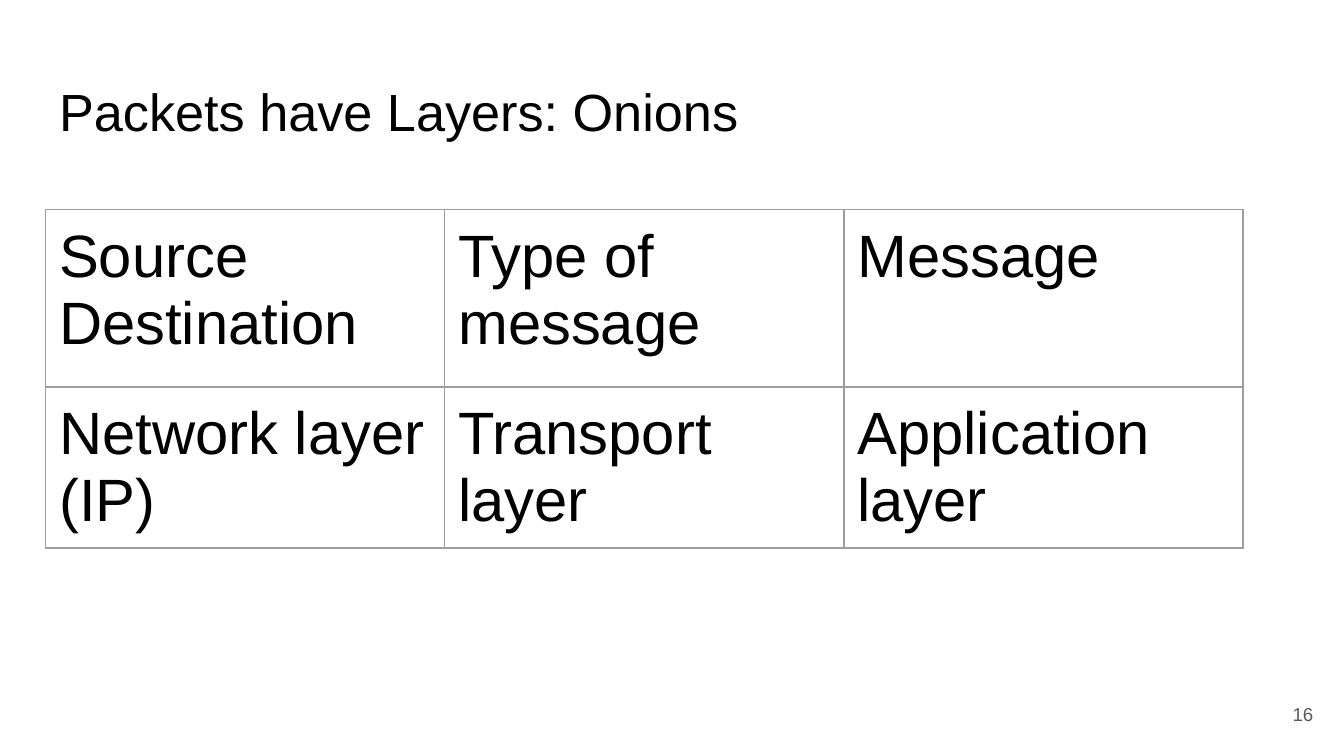
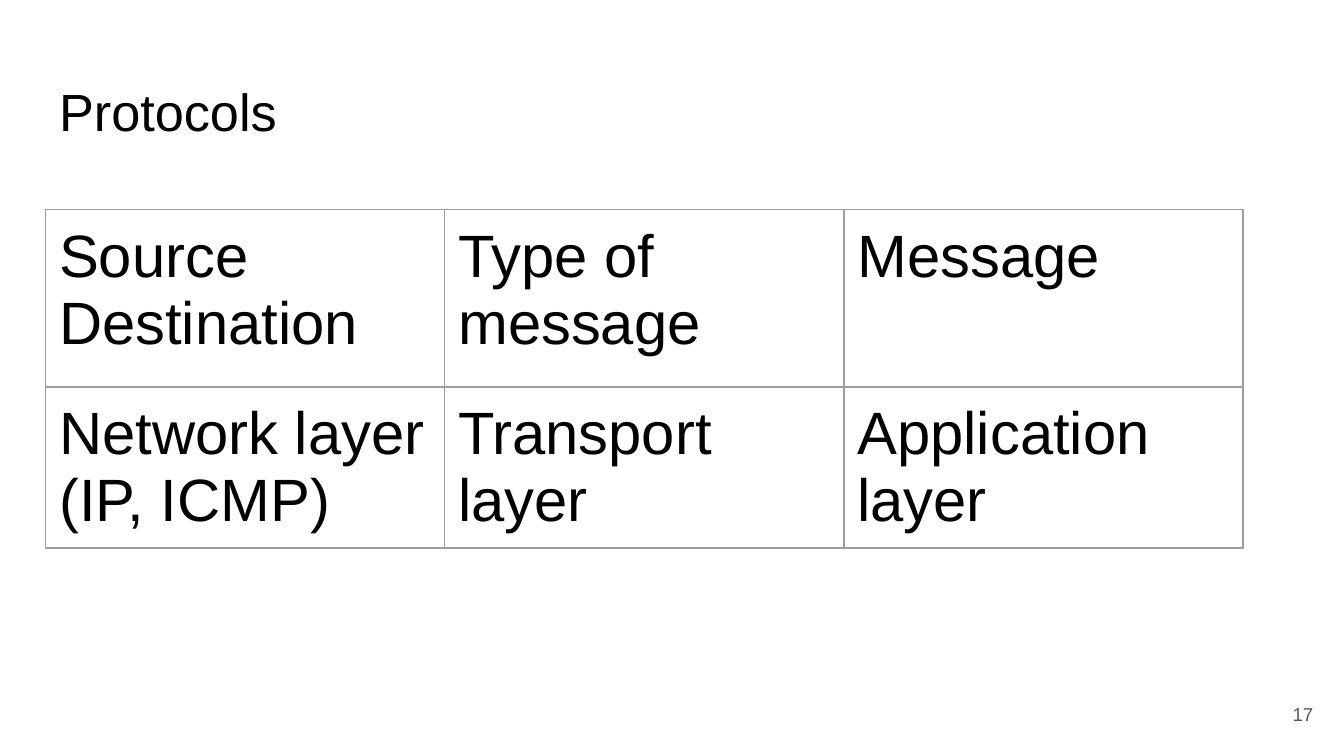
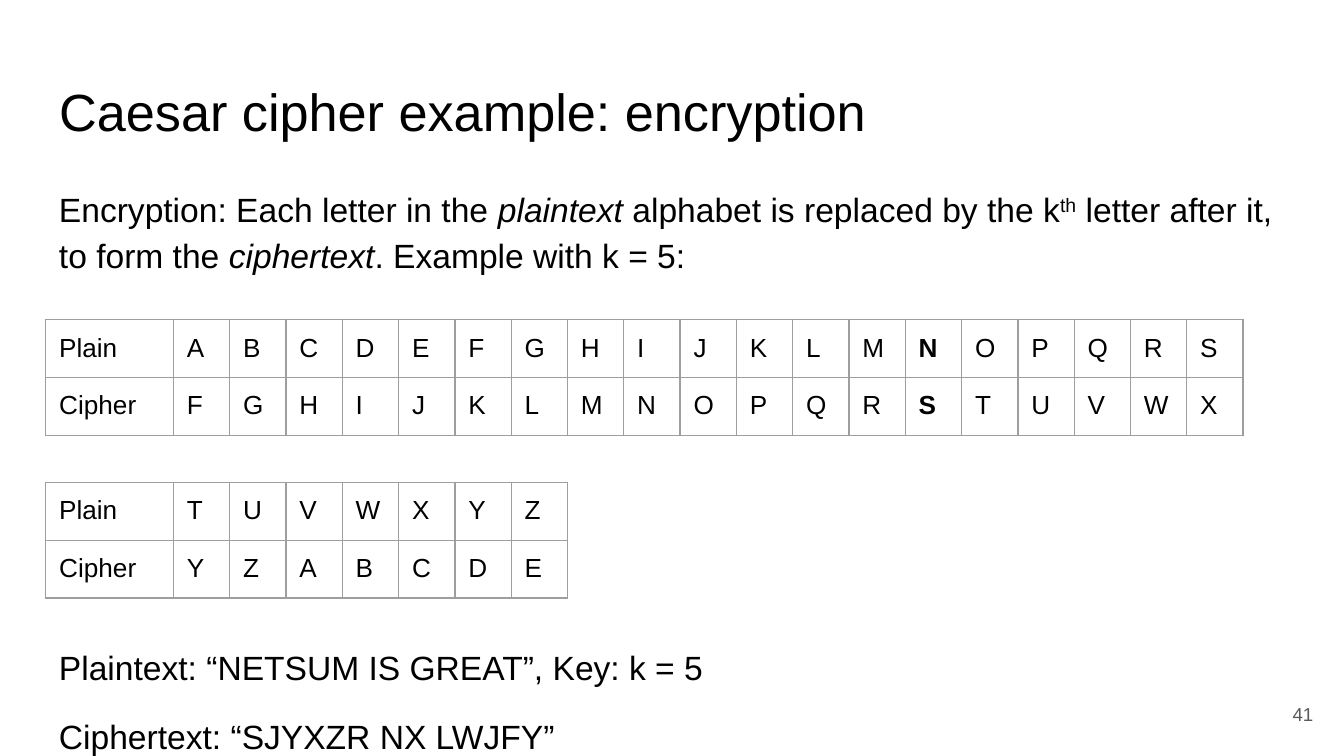
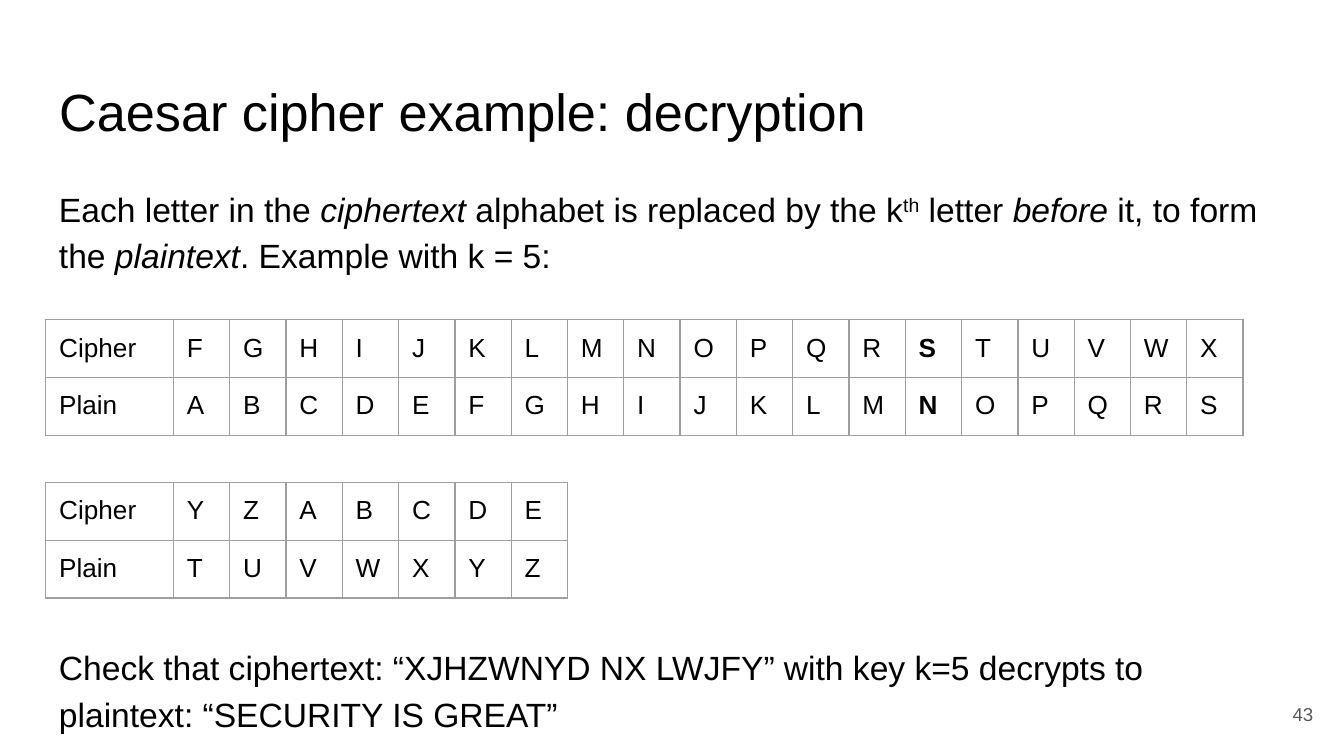
from dataclasses import dataclass

from pptx import Presentation
from pptx import util as u
from pptx.dml.color import RGBColor
from pptx.enum import text
from pptx.oxml import parse_xml
from pptx.oxml.ns import nsdecls


@dataclass(frozen=True)
class Theme:
    font: str = "Arial"
    ink: str = "000000"
    muted: str = "595959"
    border: str = "9E9E9E"
    border_pt: float = 0.75
    title: int = 28
    layer: int = 32
    body: int = 18
    letter: int = 14
    number: int = 10


THEME = Theme()

# Geometry, at 100 px to the inch
PX = 9144
LEFT = 34
INSET = 10
TABLE_W = 891
LABEL_W = 95
LETTER_ROW_H = 43

# Caesar cipher
ALPHABET = "ABCDEFGHIJKLMNOPQRSTUVWXYZ"
KEY = 5
SPLIT = 19
MARKED = ("Plain", "N"), ("Cipher", "S")
LETTER_W = (TABLE_W - LABEL_W) / SPLIT

ITALIC = {"italic": True}
TABLES_GAP = 196  # points left free for the tables inside the body text


def px(n):
    return u.Emu(round(n * PX))


# Text
def set_frame(tf, anchor=text.MSO_ANCHOR.TOP):
    inset = px(INSET)
    values = {"word_wrap": True, "auto_size": text.MSO_AUTO_SIZE.NONE,
              "vertical_anchor": anchor, "margin_left": inset,
              "margin_right": inset, "margin_top": inset,
              "margin_bottom": inset}
    for name, value in values.items():
        setattr(tf, name, value)


def add_run(p, words, size, color=THEME.ink, superscript=False, **font):
    r = p.add_run()
    r.text = words
    values = {"name": THEME.font, "size": u.Pt(size), **font}
    for name, value in values.items():
        setattr(r.font, name, value)
    r.font.color.rgb = RGBColor.from_string(color)
    if superscript:
        r._r.get_or_add_rPr().set("baseline", "30000")


def write(tf, paragraphs, size, color=THEME.ink, font=None, **layout):
    """Each paragraph is a list of (words, font values) or a plain string."""
    for i, runs in enumerate(paragraphs):
        p = tf.add_paragraph() if i else tf.paragraphs[0]
        for name, value in layout.items():
            setattr(p, name, value)
        if isinstance(runs, str):
            runs = [(runs, font or {})]
        for words, values in runs:
            add_run(p, words, size, color, **values)


def add_box(s, x, y, w, h, anchor=text.MSO_ANCHOR.TOP):
    sp = s.shapes.add_textbox(px(x), px(y), px(w), px(h))
    set_frame(sp.text_frame, anchor)
    return sp.text_frame


# Slide frame: title and slide number
def add_slide(prs, title, number):
    s = prs.slides.add_slide(prs.slide_layouts[5])
    sp = s.shapes.title
    sp.left, sp.top, sp.width, sp.height = map(px, (LEFT, 49, 932, 63))
    set_frame(sp.text_frame)
    write(sp.text_frame, [title], THEME.title, alignment=text.PP_ALIGN.LEFT)
    tf = add_box(s, 927, 510, 60, 43, text.MSO_ANCHOR.MIDDLE)
    write(tf, [str(number)], THEME.number, THEME.muted,
          alignment=text.PP_ALIGN.RIGHT)
    return s


# Tables
def format_cell(cell):
    for side in ("left", "right", "top", "bottom"):
        setattr(cell, f"margin_{side}", px(INSET))
    tc_pr = cell._tc.get_or_add_tcPr()
    for edge in ("lnL", "lnR", "lnT", "lnB"):
        tc_pr.append(parse_xml(
            f'<a:{edge} {nsdecls("a")} w="{u.Pt(THEME.border_pt)}">'
            f'<a:solidFill><a:srgbClr val="{THEME.border}"/></a:solidFill>'
            f'</a:{edge}>'))
    cell.fill.background()


def add_grid(s, y, rows, widths, heights, size, marked=()):
    """Cells are strings; a line break starts a new paragraph."""
    frame = s.shapes.add_table(len(rows), len(widths), px(LEFT), px(y),
                               px(sum(widths)), px(sum(heights)))
    table = frame.table
    table.first_row = table.horz_banding = False
    for column, width in zip(table.columns, widths):
        column.width = px(width)
    for row, height in zip(table.rows, heights):
        row.height = px(height)
    for i, row in enumerate(rows):
        for j, words in enumerate(row):
            cell = table.cell(i, j)
            format_cell(cell)
            font = {"bold": True} if (row[0], words) in marked else {}
            write(cell.text_frame, words.split("\n"), size, font=font)


# Slide kinds
def add_layers_slide(prs, title, number, network):
    s = add_slide(prs, title, number)
    rows = [["Source\nDestination", "Type of message", "Message"],
            [f"Network layer\n({network})", "Transport layer",
             "Application layer"]]
    add_grid(s, 156, rows, [TABLE_W / 3] * 3, [132, 86], THEME.layer)


def add_cipher_slide(prs, title, number, order, intro, closing):
    s = add_slide(prs, title, number)
    tf = add_box(s, LEFT, 126, 932, 374)
    write(tf, [intro, *closing], THEME.body, line_spacing=1.15,
          space_before=u.Pt(12))
    tf.paragraphs[0].space_before = u.Pt(0)
    tf.paragraphs[1].space_before = u.Pt(TABLES_GAP)

    letters = {"Plain": ALPHABET, "Cipher": ALPHABET[KEY:] + ALPHABET[:KEY]}
    for y, part in ((238, slice(SPLIT)), (359, slice(SPLIT, None))):
        rows = [[name, *letters[name][part]] for name in order]
        widths = [LABEL_W] + [LETTER_W] * (len(rows[0]) - 1)
        add_grid(s, y, rows, widths, [LETTER_ROW_H] * 2, THEME.letter, MARKED)


def main():
    prs = Presentation()
    prs.slide_width, prs.slide_height = px(1000), px(562.5)

    add_layers_slide(prs, "Packets have Layers: Onions", 16, "IP")
    add_layers_slide(prs, "Protocols", 17, "IP, ICMP")

    add_cipher_slide(
        prs, "Caesar cipher example: encryption", 41, ("Plain", "Cipher"),
        [("Encryption: Each letter in the ", {}), ("plaintext ", ITALIC),
         ("alphabet is replaced by the k", {}), ("th", {"superscript": True}),
         (" letter after it, to form the ", {}), ("ciphertext", ITALIC),
         (". Example with k = 5:", {})],
        ["Plaintext: “NETSUM IS GREAT”, Key: k = 5",
         "Ciphertext: “SJYXZR NX LWJFY”"])
    add_cipher_slide(
        prs, "Caesar cipher example: decryption", 43, ("Cipher", "Plain"),
        [("Each letter in the ", {}), ("ciphertext ", ITALIC),
         ("alphabet is replaced by the k", {}), ("th", {"superscript": True}),
         (" letter ", {}), ("before", ITALIC), (" it, to form the ", {}),
         ("plaintext", ITALIC), (". Example with k = 5:", {})],
        ["Check that ciphertext: “XJHZWNYD NX LWJFY” with key k=5 decrypts "
         "to plaintext: “SECURITY IS GREAT”"])

    prs.save("out.pptx")


if __name__ == "__main__":
    main()
